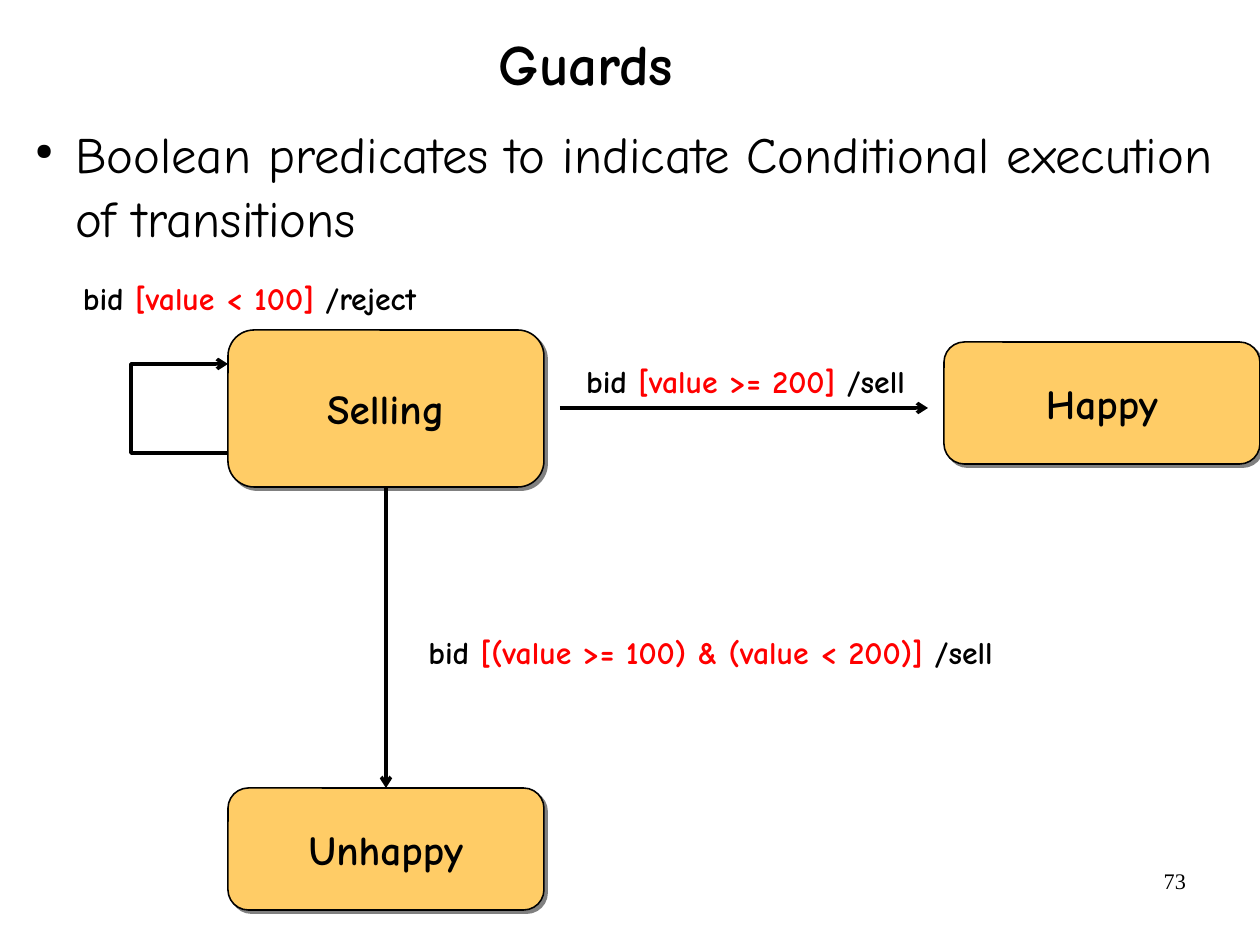
import pptx
import pptx.util
import pptx.dml.color
import pptx.enum.shapes
import pptx.enum.text
import pptx.oxml
import pptx.oxml.ns

PX = 8000  # EMU in one px
RGB = pptx.dml.color.RGBColor
BLACK = RGB(0, 0, 0)
RED = RGB(255, 0, 0)
GOLD = RGB(255, 204, 102)
WHITE = RGB(255, 255, 255)
COMIC = "Comic Neue"
ALIGN = pptx.enum.text.PP_ALIGN
ANCHOR = pptx.enum.text.MSO_ANCHOR
SHAPE = pptx.enum.shapes.MSO_SHAPE
LINK = pptx.enum.shapes.MSO_CONNECTOR
NS = pptx.oxml.ns.nsdecls("a")


def px(*sizes):
    return [size * PX for size in sizes]


def node(xml):
    return pptx.oxml.parse_xml(f"<a:root {NS}>{xml}</a:root>")[0]


def write(frame, *parts, size=20, font=COMIC, bold=True, align=ALIGN.CENTER,
          anchor=ANCHOR.MIDDLE, wrap=False, inset=(13, 7), space=None):
    """Each part is a text, or a pair of text and colour."""
    frame.word_wrap = wrap
    frame.auto_size = pptx.enum.text.MSO_AUTO_SIZE.NONE
    frame.vertical_anchor = anchor
    frame.margin_left = frame.margin_right = inset[0] * PX
    frame.margin_top = frame.margin_bottom = inset[1] * PX
    para = frame.paragraphs[0]
    para.alignment = align
    if space:
        para.line_spacing = space
    for part in parts:
        text, color = (part, BLACK) if isinstance(part, str) else part
        run = para.add_run()
        run.text = text
        run.font.size = pptx.util.Pt(size)
        run.font.name = font
        run.font.bold = bold
        run.font.color.rgb = color
    return para


def label(slide, box, *parts, **style):
    return write(slide.shapes.add_textbox(*px(*box)).text_frame, *parts, **style)


def bullet(para):
    props = para._p.get_or_add_pPr()
    props.set("marL", str(53 * PX))
    props.set("indent", str(-40 * PX))
    for xml in ('<a:buClr><a:srgbClr val="000000"/></a:buClr>',
                '<a:buSzPct val="45000"/>', '<a:buChar char="●"/>'):
        props.append(node(xml))


def state(slide, name, box):
    shape = slide.shapes.add_shape(SHAPE.ROUNDED_RECTANGLE, *px(*box))
    shape.fill.solid()
    shape.fill.fore_color.rgb = GOLD
    shape.line.color.rgb = BLACK
    shape.line.width = pptx.util.Pt(1)
    shape.shadow.inherit = False
    shape.element.spPr.find(pptx.oxml.ns.qn("a:effectLst")).append(node(
        '<a:outerShdw dist="35560" dir="2700000" algn="ctr" rotWithShape="0">'
        '<a:srgbClr val="808080"/></a:outerShdw>'))
    write(shape.text_frame, name, size=26)
    return shape


def arrow(shape):
    shape.line.color.rgb = BLACK
    shape.line.width = pptx.util.Pt(2.25)
    shape.line._get_or_add_ln().append(node('<a:tailEnd type="arrow"/>'))
    shape.element.spPr.append(node("<a:effectLst/>"))


def link(slide, start, end):
    line = slide.shapes.add_connector(LINK.STRAIGHT, *px(*start, *end))
    arrow(line)
    return line


def loop(slide, first, *points):
    maker = slide.shapes.build_freeform(*first, scale=PX)
    maker.add_line_segments(points, close=False)
    shape = maker.convert_to_shape()
    shape.fill.background()
    arrow(shape)


def main():
    deck = pptx.Presentation()
    deck.slide_width, deck.slide_height = px(1260, 945)
    slide = deck.slides.add_slide(deck.slide_layouts[5])
    slide.background.fill.solid()
    slide.background.fill.fore_color.rgb = WHITE

    # Title, bullet and page number
    title = slide.shapes.title
    title.left, title.top, title.width, title.height = px(49, 10, 1074, 114)
    write(title.text_frame, "Guards", size=36, wrap=True, inset=(0, 0), space=0.88)
    bullet(label(
        slide, (22, 120, 1238, 130),
        "Boolean predicates to indicate Conditional execution of transitions",
        size=32, bold=False, align=ALIGN.LEFT, anchor=ANCHOR.TOP, wrap=True,
        inset=(0, 0), space=1.05))
    label(slide, (903, 861, 294, 65), "73", size=14, font="Times New Roman",
          bold=False, align=ALIGN.RIGHT, anchor=ANCHOR.TOP, wrap=True, inset=(11, 6))

    # States
    selling = state(slide, "Selling", (228, 330, 316, 157))
    unhappy = state(slide, "Unhappy", (228, 788, 316, 122))
    state(slide, "Happy", (944, 342, 316, 122))

    # Transitions
    down = link(slide, (386, 487), (386, 788))
    down.begin_connect(selling, 2)
    down.end_connect(unhappy, 0)
    link(slide, (560, 408), (928, 408))
    loop(slide, (228, 453), (131, 453), (131, 364), (228, 364))

    # Guards on the transitions
    for box, guard, act in (
            ((313, 624, 795, 55), "[(value >= 100) & (value < 200)]", "sell"),
            ((518, 353, 455, 55), "[value >= 200]", "sell"),
            ((7, 270, 485, 55), "[value < 100]", "reject")):
        label(slide, box, "bid ", (guard, RED), f" /{act}")

    deck.save("out.pptx")


if __name__ == "__main__":
    main()
